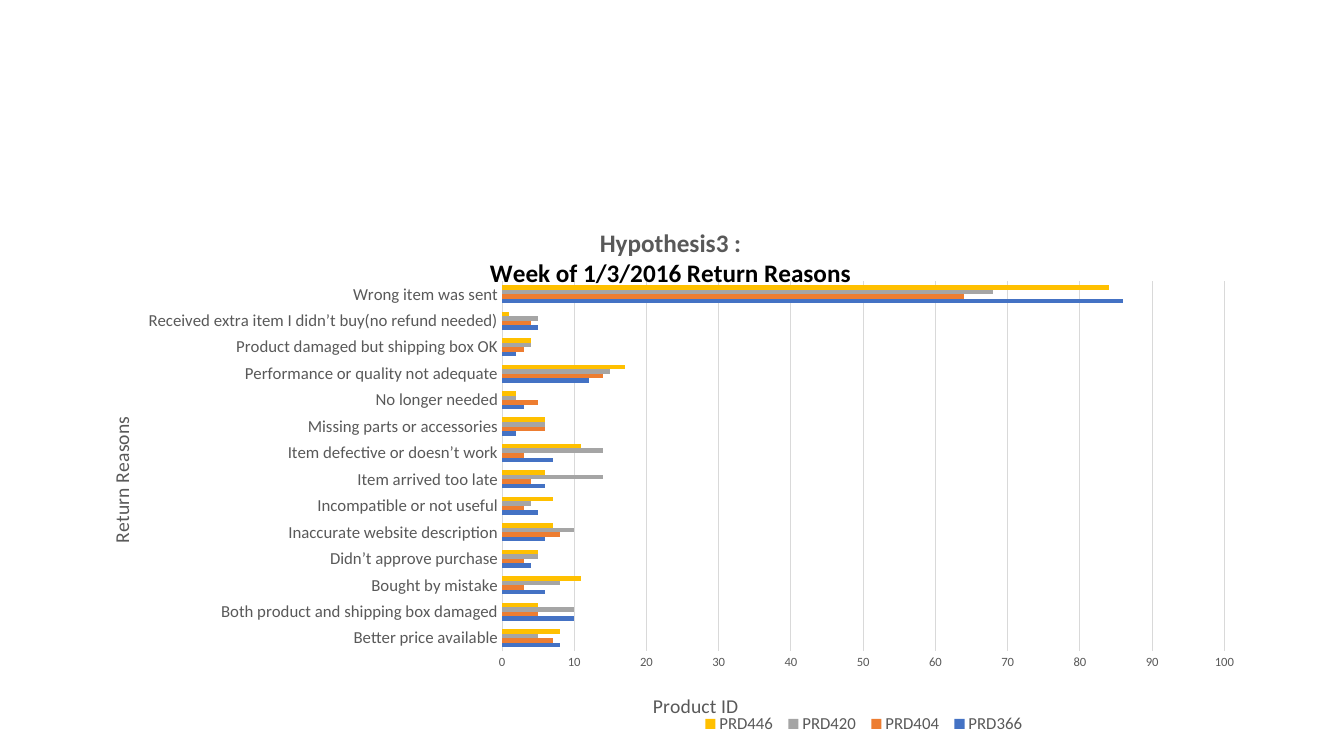
from typing import NamedTuple

from lxml import etree
from pptx import Presentation
from pptx.chart.data import CategoryChartData
from pptx.dml.color import RGBColor
from pptx.enum.chart import XL_CHART_TYPE, XL_LEGEND_POSITION, XL_TICK_MARK
from pptx.oxml.ns import qn
from pptx.util import Inches, Pt

BARS = XL_CHART_TYPE.BAR_CLUSTERED
BOTTOM = XL_LEGEND_POSITION.BOTTOM
NO_TICK = XL_TICK_MARK.NONE

FONT = "Calibri"
BLACK = RGBColor(0x00, 0x00, 0x00)
GRAY = RGBColor(0x59, 0x59, 0x59)
PALE = RGBColor(0xD9, 0xD9, 0xD9)
BLUE = RGBColor(0x44, 0x72, 0xC4)
ORANGE = RGBColor(0xED, 0x7D, 0x31)
SILVER = RGBColor(0xA5, 0xA5, 0xA5)
GOLD = RGBColor(0xFF, 0xC0, 0x00)


class Product(NamedTuple):
    """Returns of one product, one count per reason."""
    name: str
    color: RGBColor
    counts: tuple


class Line(NamedTuple):
    """One line of a title."""
    text: str
    size: int
    color: RGBColor = GRAY
    bold: bool = False


REASONS = (
    "Better price available",
    "Both product and shipping box damaged",
    "Bought by mistake",
    "Didn’t approve purchase",
    "Inaccurate website description",
    "Incompatible or not useful",
    "Item arrived too late",
    "Item defective or doesn’t work",
    "Missing parts or accessories",
    "No longer needed",
    "Performance or quality not adequate",
    "Product damaged but shipping box OK",
    "Received extra item I didn’t buy(no refund needed)",
    "Wrong item was sent",
)
PRODUCTS = (
    Product("PRD366", BLUE, (8, 10, 6, 4, 6, 5, 6, 7, 2, 3, 12, 2, 5, 86)),
    Product("PRD404", ORANGE, (7, 5, 3, 3, 8, 3, 4, 3, 6, 5, 14, 3, 4, 64)),
    Product("PRD420", SILVER, (5, 10, 8, 5, 10, 4, 14, 14, 6, 2, 15, 4, 5, 68)),
    Product("PRD446", GOLD, (8, 5, 11, 5, 7, 7, 6, 11, 6, 2, 17, 4, 1, 84)),
)
HEADING = (
    Line("Hypothesis3 :", 18, GRAY, True),
    Line("Week of 1/3/2016 Return Reasons", 18, BLACK, True),
)


def style_font(font, size: int, color: RGBColor, bold: bool = False) -> None:
    """Set face, size, colour and weight."""
    font.name = FONT
    font.size = Pt(size)
    font.bold = bold
    font.color.rgb = color


def place(part, index: int, inner: bool = False, **spots: float) -> None:
    """Give a chart part a manual layout, in shares of the chart."""
    for old in part.findall(qn("c:layout")):
        part.remove(old)
    layout = etree.Element(qn("c:layout"))
    manual = etree.SubElement(layout, qn("c:manualLayout"))
    if inner:
        etree.SubElement(manual, qn("c:layoutTarget")).set("val", "inner")
    for mode in ("xMode", "yMode"):
        etree.SubElement(manual, qn(f"c:{mode}")).set("val", "edge")
    for key, share in spots.items():
        etree.SubElement(manual, qn(f"c:{key}")).set("val", str(share))
    part.insert(index, layout)


def write_title(title, lines: tuple, x: float, y: float) -> None:
    """Write a chart or axis title and place its top left corner."""
    frame = title.text_frame
    for number, line in enumerate(lines):
        para = frame.add_paragraph() if number else frame.paragraphs[0]
        run = para.add_run()
        run.text = line.text
        style_font(run.font, line.size, line.color, line.bold)
    place(title._element, 1, x=x, y=y)


def style_axis(axis, size: int) -> None:
    """Set the labels of an axis and drop its tick marks."""
    axis.major_tick_mark = axis.minor_tick_mark = NO_TICK
    style_font(axis.tick_labels.font, size, GRAY)


def pale_line(line) -> None:
    """Draw a thin pale line."""
    line.color.rgb = PALE
    line.width = Pt(0.75)


def add_returns(slide) -> None:
    """Add the bar chart of return reasons by product."""
    data = CategoryChartData()
    data.categories = REASONS
    for product in PRODUCTS:
        data.add_series(product.name, product.counts)
    chart = slide.shapes.add_chart(
        BARS, Inches(0.92), Inches(2), Inches(11.5), Inches(5.37), data
    ).chart
    style_font(chart.font, 10, BLACK)

    plot = chart.plots[0]
    plot.vary_by_categories = False
    plot.gap_width = 182
    plot.overlap = 0
    for product, series in zip(PRODUCTS, plot.series):
        series.format.fill.solid()
        series.format.fill.fore_color.rgb = product.color
    area = chart._chartSpace.chart.plotArea
    place(area, 0, inner=True, x=0.353, y=0.147, w=0.623, h=0.684)

    reasons, counts = chart.category_axis, chart.value_axis
    style_axis(reasons, 12)
    reasons.has_major_gridlines = False
    pale_line(reasons.format.line)
    style_axis(counts, 9)
    counts.minimum_scale, counts.maximum_scale = 0, 100
    counts.major_unit = 10
    counts.format.line.fill.background()
    pale_line(counts.major_gridlines.format.line)

    chart.has_title = True
    write_title(chart.chart_title, HEADING, 0.34, 0.04)
    write_title(reasons.axis_title, (Line("Return Reasons", 14),), 0.01, 0.39)
    write_title(counts.axis_title, (Line("Product ID", 14),), 0.48, 0.9)

    chart.has_legend = True
    legend = chart.legend
    legend.position = BOTTOM
    legend.include_in_layout = False
    style_font(legend.font, 12, GRAY)
    place(legend._element, 1, x=0.52, y=0.94, w=0.29, h=0.05)


def main() -> None:
    """Build and save the slide."""
    deck = Presentation()
    deck.slide_width, deck.slide_height = Inches(13.33), Inches(7.5)
    add_returns(deck.slides.add_slide(deck.slide_layouts[6]))
    deck.save("out.pptx")


main()
